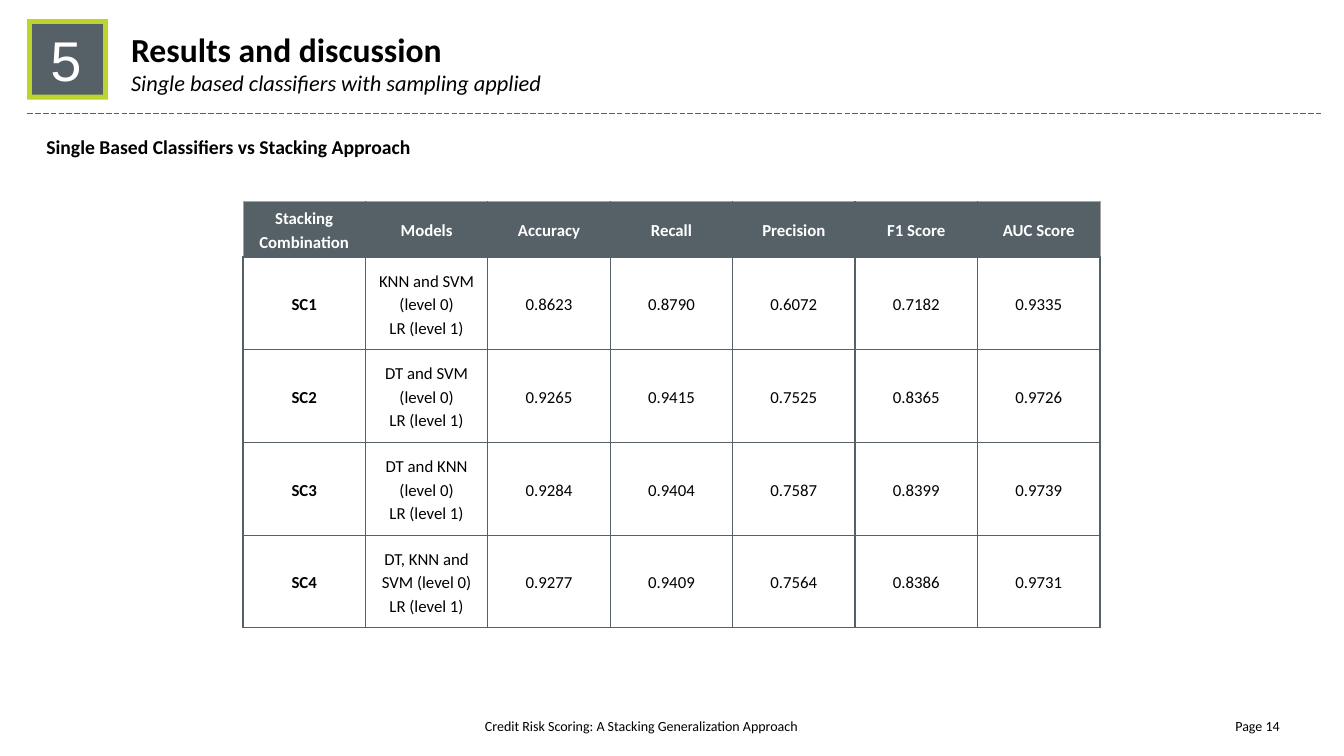
import pptx
import pptx.util
import pptx.dml.color
import pptx.enum.dml
import pptx.enum.shapes
import pptx.enum.text
import pptx.oxml
import pptx.oxml.ns

Inches = pptx.util.Inches
Pt = pptx.util.Pt
Align = pptx.enum.text.PP_ALIGN
Anchor = pptx.enum.text.MSO_ANCHOR
SLATE, LIME, GREY = "566067", "BDD52A", "A5A5A5"
BLACK, WHITE = "000000", "FFFFFF"


def hue(code):
    return pptx.dml.color.RGBColor.from_string(code)


class Deck:
    font = "Calibri"

    def __init__(self):
        self.show = pptx.Presentation()
        self.show.slide_width = Inches(13.33)
        self.show.slide_height = Inches(7.5)
        self.slide = self.show.slides.add_slide(self.show.slide_layouts[5])

    def style(self, para, size, color=BLACK, bold=False, italic=False,
              align=Align.LEFT, face=None):
        para.alignment = align
        for run in para.runs:
            run.font.name = face or self.font
            run.font.size = Pt(size)
            run.font.bold = bold
            run.font.italic = italic
            run.font.color.rgb = hue(color)

    def title(self, head, sub, box):
        shape = self.slide.shapes.title
        shape.left, shape.top, shape.width, shape.height = map(Inches, box)
        frame = shape.text_frame
        frame.text = f"{head}\n{sub}"
        frame.auto_size = pptx.enum.text.MSO_AUTO_SIZE.NONE
        frame.vertical_anchor = Anchor.TOP
        self.style(frame.paragraphs[0], 24, bold=True)
        self.style(frame.paragraphs[1], 16, italic=True)

    def text(self, words, box, size, pad=0, anchor=Anchor.TOP, host=None, **look):
        shapes = (host or self.slide).shapes
        frame = shapes.add_textbox(*map(Inches, box)).text_frame
        frame.word_wrap = True
        frame.margin_left = frame.margin_right = Inches(pad)
        frame.margin_top = frame.margin_bottom = Inches(pad / 2)
        frame.vertical_anchor = anchor
        frame.text = words
        self.style(frame.paragraphs[0], size, **look)

    def rect(self, host, box, color):
        kind = pptx.enum.shapes.MSO_SHAPE.RECTANGLE
        shape = host.shapes.add_shape(kind, *map(Inches, box))
        shape.shadow.inherit = False
        shape.fill.solid()
        shape.fill.fore_color.rgb = hue(color)
        shape.line.fill.background()

    def badge(self, digit):
        group = self.slide.shapes.add_group_shape()
        self.rect(group, (0.27, 0.19, 0.8, 0.8), LIME)
        self.rect(group, (0.32, 0.24, 0.7, 0.7), SLATE)
        self.text(digit, (0.46, 0.25, 0.39, 0.67), 40, host=group,
                  color=WHITE, align=Align.CENTER, face="Arial")

    def rule(self, left, right, top):
        kind = pptx.enum.shapes.MSO_CONNECTOR.STRAIGHT
        line = self.slide.shapes.add_connector(
            kind, Inches(left), Inches(top), Inches(right), Inches(top))
        line.line.color.rgb = hue(SLATE)
        line.line.width = Pt(0.5)
        line.line.dash_style = pptx.enum.dml.MSO_LINE.LONG_DASH
        props = line._element.spPr
        props.append(pptx.oxml.parse_xml(
            f'<a:effectLst {pptx.oxml.ns.nsdecls("a")}/>'))

    def edge(self, cell, side, color, width):
        cell._tc.get_or_add_tcPr().append(pptx.oxml.parse_xml(
            f'<a:ln{side} {pptx.oxml.ns.nsdecls("a")} w="{Pt(width)}">'
            f'<a:solidFill><a:srgbClr val="{color}"/></a:solidFill>'
            f'</a:ln{side}>'))

    def cell(self, cell, words, head, bold, pale):
        for side in "LRTB":
            look = (GREY, 0.5) if side in pale else (SLATE, 1)
            self.edge(cell, side, *look)
        if head:
            cell.fill.solid()
            cell.fill.fore_color.rgb = hue(SLATE)
        else:
            cell.fill.background()
        cell.margin_left = cell.margin_right = Inches(0.07)
        cell.margin_top = cell.margin_bottom = 0
        cell.vertical_anchor = Anchor.MIDDLE
        cell.text_frame.text = words
        for para in cell.text_frame.paragraphs:
            para.line_spacing = 1.15
            self.style(para, 12, WHITE if head else BLACK, bold,
                       align=Align.CENTER)

    def table(self, rows, box, tall):
        count = len(rows[0])
        grid = self.slide.shapes.add_table(
            len(rows), count, *map(Inches, box)).table
        grid.first_row = grid.horz_banding = False
        for col in grid.columns:
            col.width = Inches(box[2] / count)
        for r, row in enumerate(rows):
            grid.rows[r].height = Inches(tall[min(r, 1)])
            for c, words in enumerate(row):
                pale = ""
                if r == 0:
                    pale = "T" + "L" * (c == 0) + "R" * (c == count - 1)
                self.cell(grid.cell(r, c), words, r == 0,
                          r == 0 or c == 0, pale)


def main():
    deck = Deck()
    deck.badge("5")
    deck.title("Results and discussion",
               "Single based classifiers with sampling applied",
               (1.2, 0.24, 7.74, 0.77))
    deck.rule(0.27, 13.1, 1.12)
    deck.text("Single Based Classifiers vs Stacking Approach",
              (0.46, 1.34, 5.07, 0.24), 14, bold=True)
    rows = [
        ("Stacking Combination", "Models", "Accuracy", "Recall",
         "Precision", "F1 Score", "AUC Score"),
        ("SC1", "KNN and SVM (level 0)\nLR (level 1)",
         "0.8623", "0.8790", "0.6072", "0.7182", "0.9335"),
        ("SC2", "DT and SVM (level 0)\nLR (level 1)",
         "0.9265", "0.9415", "0.7525", "0.8365", "0.9726"),
        ("SC3", "DT and KNN (level 0)\nLR (level 1)",
         "0.9284", "0.9404", "0.7587", "0.8399", "0.9739"),
        ("SC4", "DT, KNN and SVM (level 0)\nLR (level 1)",
         "0.9277", "0.9409", "0.7564", "0.8386", "0.9731"),
    ]
    deck.table(rows, (2.41, 2, 8.5, 4.22), (0.55, 0.92))
    foot = (("Credit Risk Scoring: A Stacking Generalization Approach",
             4.67, Align.CENTER), ("Page 14", 9.41, Align.RIGHT))
    for words, left, align in foot:
        deck.text(words, (left, 7.1, 3.38, 0.2), 10, pad=0.1,
                  anchor=Anchor.MIDDLE, align=align)
    deck.show.save("out.pptx")


if __name__ == "__main__":
    main()
